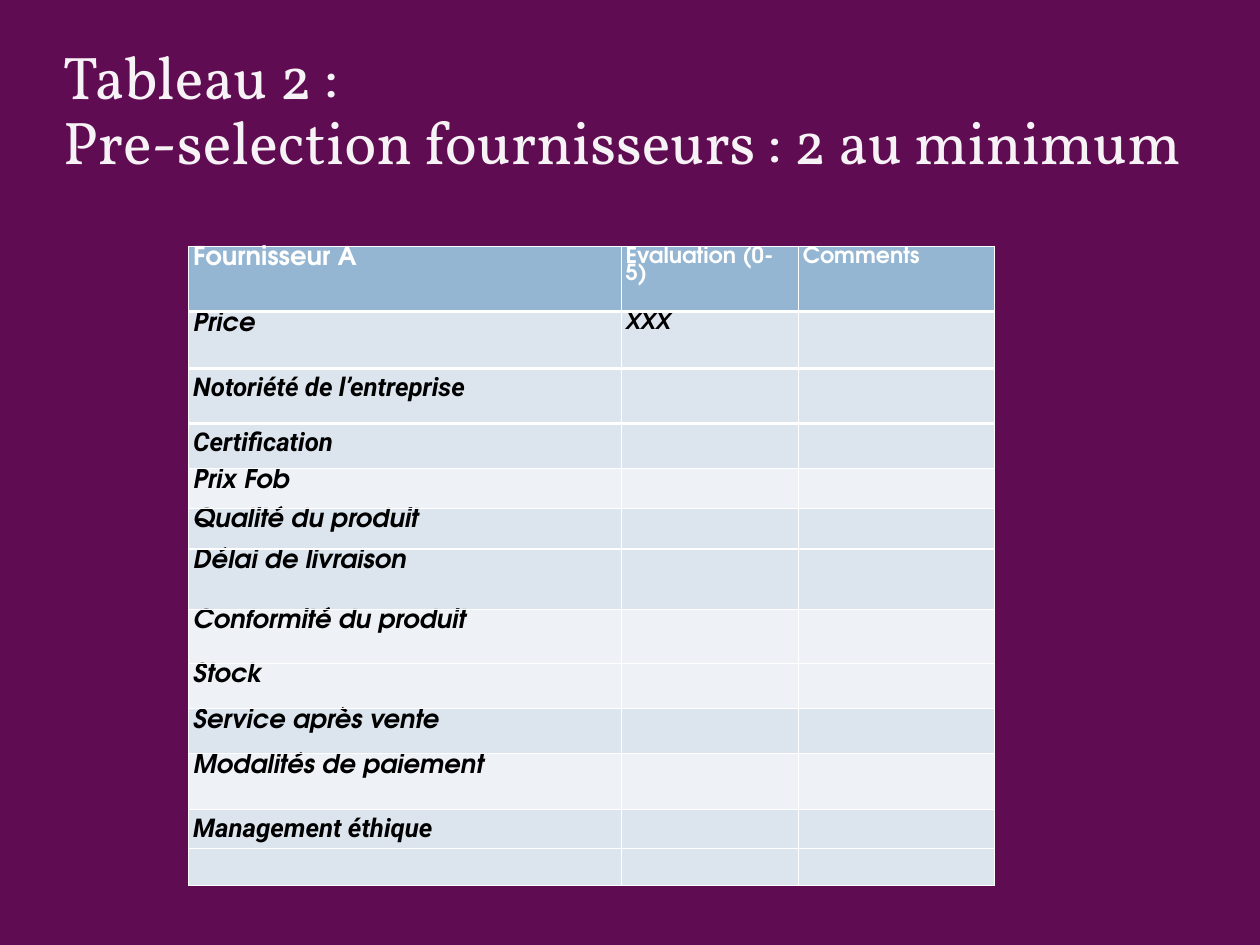
from lxml.etree import SubElement
from pptx import Presentation
from pptx.dml.color import RGBColor
from pptx.enum.text import MSO_ANCHOR, PP_ALIGN
from pptx.oxml.ns import qn
from pptx.util import Inches, Pt

COLORS = {
    "background": "600C52",
    "white": "FFFFFF",
    "black": "000000",
    "header": "94B6D2",
    "band": "DCE5EE",
    "light": "EEF2F7",
}
TITLE_FONT, TABLE_FONT, ACCENT_FONT = "Vollkorn", "TeX Gyre Adventor", "Roboto"

TITLE_LINES = ["Tableau 2 :", "Pre-selection fournisseurs : 2 au minimum"]
HEADINGS = ["Fournisseur A", "Evaluation (0-5)", "Comments"]
COLUMN_WIDTHS = [4.88, 2, 2.21]
HEADER_HEIGHT = 0.74
THICK_RULES = 3  # the first rules under the header are thick

# Criterion, evaluation, row height, fill, font
CRITERIA = [
    ("Price", "XXX", 0.64, "band", TABLE_FONT),
    ("Notoriété de l’entreprise", "", 0.62, "band", ACCENT_FONT),
    ("Certification", "", 0.51, "band", ACCENT_FONT),
    ("Prix Fob", "", 0.45, "light", TABLE_FONT),
    ("Qualité du produit", "", 0.46, "band", TABLE_FONT),
    ("Délai de livraison", "", 0.68, "band", TABLE_FONT),
    ("Conformité du produit", "", 0.61, "light", TABLE_FONT),
    ("Stock", "", 0.51, "light", TABLE_FONT),
    ("Service après vente", "", 0.51, "band", TABLE_FONT),
    ("Modalités de paiement", "", 0.63, "light", TABLE_FONT),
    ("Management éthique", "", 0.42, "band", ACCENT_FONT),
    ("", "", 0.42, "band", TABLE_FONT),
]


def rgb(name):
    return RGBColor.from_string(COLORS[name])


def write(paragraph, text, font=TABLE_FONT, size=18, color="black",
          bold=False, italic=False, spacing=1.0):
    paragraph.alignment = PP_ALIGN.LEFT
    paragraph.line_spacing = spacing
    run = paragraph.add_run()
    run.text = text
    run.font.name = font
    run.font.size = Pt(size)
    run.font.bold = bold
    run.font.italic = italic
    run.font.color.rgb = rgb(color)
    return run


def set_opacity(run, percent):
    color = run.font.fill._xPr.find(qn("a:solidFill"))[0]
    SubElement(color, qn("a:alpha"), val=str(percent * 1000))


def add_title(slide):
    title = slide.shapes.title
    title.left, title.top = Inches(0.71), Inches(0.07)
    title.width, title.height = Inches(12.81), Inches(2.41)
    frame = title.text_frame
    frame.word_wrap = True
    frame.vertical_anchor = MSO_ANCHOR.MIDDLE
    frame.margin_left = frame.margin_right = 0
    frame.margin_top = frame.margin_bottom = 0
    for index, line in enumerate(TITLE_LINES):
        paragraph = frame.add_paragraph() if index else frame.paragraphs[0]
        run = write(paragraph, line, font=TITLE_FONT, size=49,
                    color="white", spacing=0.9)
        set_opacity(run, 95)


def set_borders(cell, top, bottom):
    properties = cell._tc.get_or_add_tcPr()
    widths = {"a:lnL": 1, "a:lnR": 1, "a:lnT": top, "a:lnB": bottom}
    for index, (side, width) in enumerate(widths.items()):
        line = properties.makeelement(qn(side), {"w": str(Pt(width))})
        fill = SubElement(line, qn("a:solidFill"))
        SubElement(fill, qn("a:srgbClr"), val=COLORS["white"])
        properties.insert(index, line)


def fill_cell(cell, row, text, fill, **text_format):
    cell.fill.solid()
    cell.fill.fore_color.rgb = rgb(fill)
    cell.margin_left = cell.margin_right = Inches(0.05)
    cell.margin_top = cell.margin_bottom = Inches(0.05)
    set_borders(cell, top=3 if 0 < row <= THICK_RULES else 1,
                bottom=3 if row < THICK_RULES else 1)
    if text:
        write(cell.text_frame.paragraphs[0], text, bold=True, **text_format)


def add_evaluation_table(slide):
    heights = [HEADER_HEIGHT] + [criterion[2] for criterion in CRITERIA]
    table = slide.shapes.add_table(
        len(heights), len(COLUMN_WIDTHS), Inches(2.13), Inches(2.78),
        Inches(sum(COLUMN_WIDTHS)), Inches(sum(heights))).table
    for column, width in zip(table.columns, COLUMN_WIDTHS):
        column.width = Inches(width)
    for row, height in zip(table.rows, heights):
        row.height = Inches(height)

    # Header row
    for column, heading in enumerate(HEADINGS):
        fill_cell(table.cell(0, column), 0, heading, "header", color="white",
                  size=18 if column else 21, spacing=0.8)

    # Criteria rows
    for row, (name, score, _, fill, font) in enumerate(CRITERIA, start=1):
        for column, text in enumerate([name, score, ""]):
            fill_cell(table.cell(row, column), row, text, fill, font=font,
                      size=18 if column else 21, italic=True,
                      spacing=0.8 if font == TABLE_FONT else 1.0)


def main():
    presentation = Presentation()
    presentation.slide_width = Inches(14.22)
    presentation.slide_height = Inches(10.67)
    slide = presentation.slides.add_slide(presentation.slide_layouts[5])
    slide.background.fill.solid()
    slide.background.fill.fore_color.rgb = rgb("background")
    add_title(slide)
    add_evaluation_table(slide)
    presentation.save("out.pptx")


if __name__ == "__main__":
    main()
